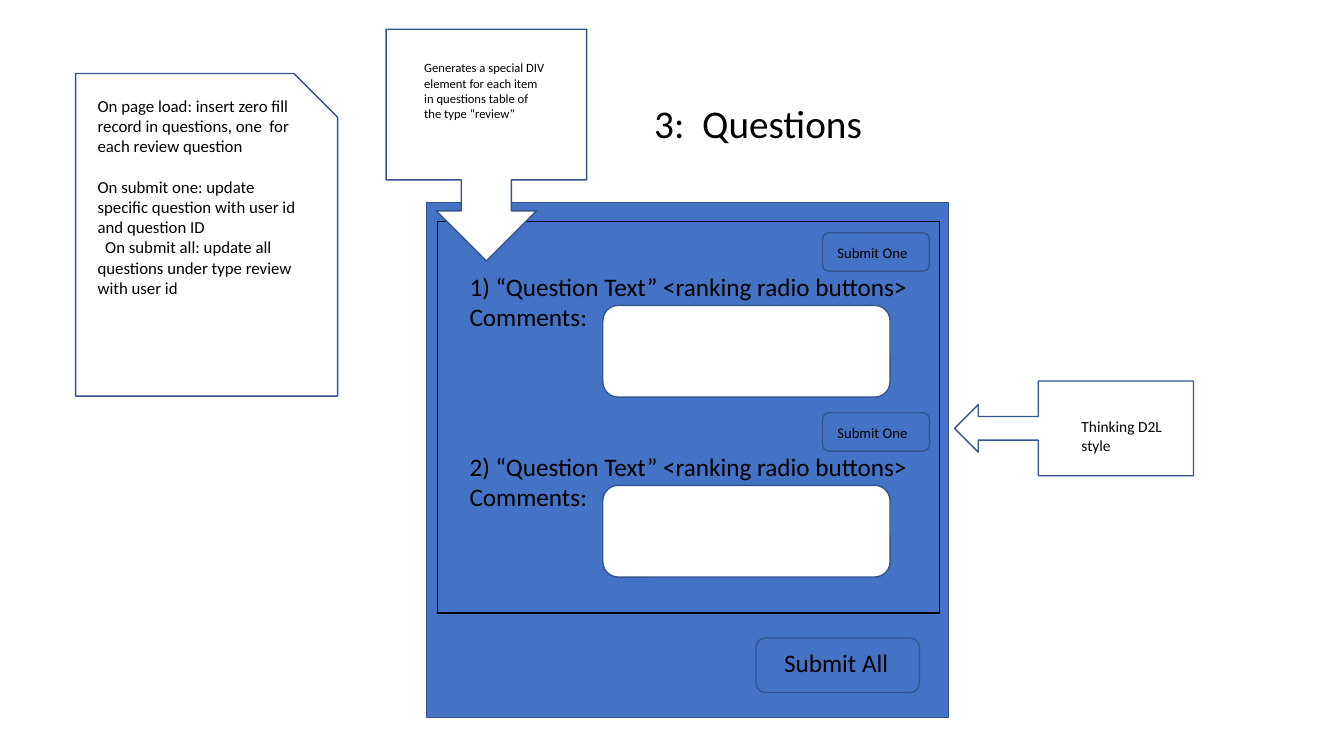
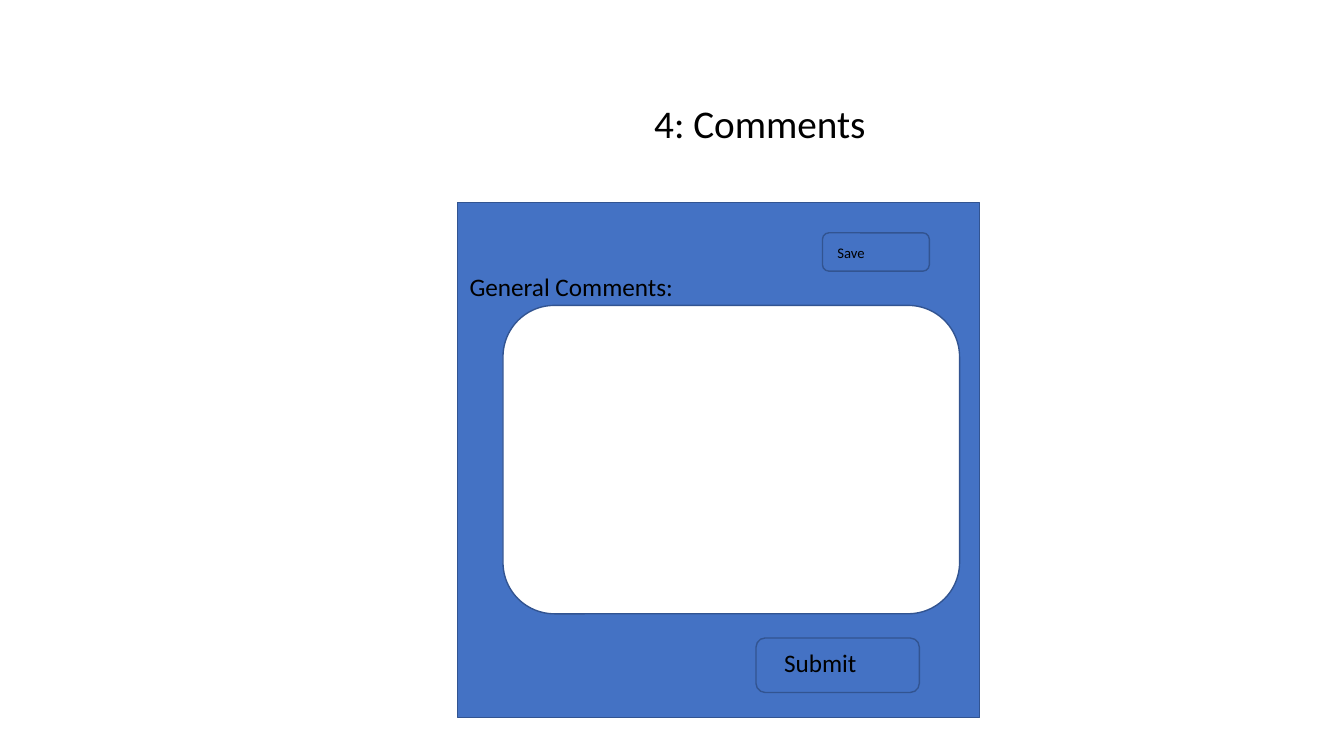
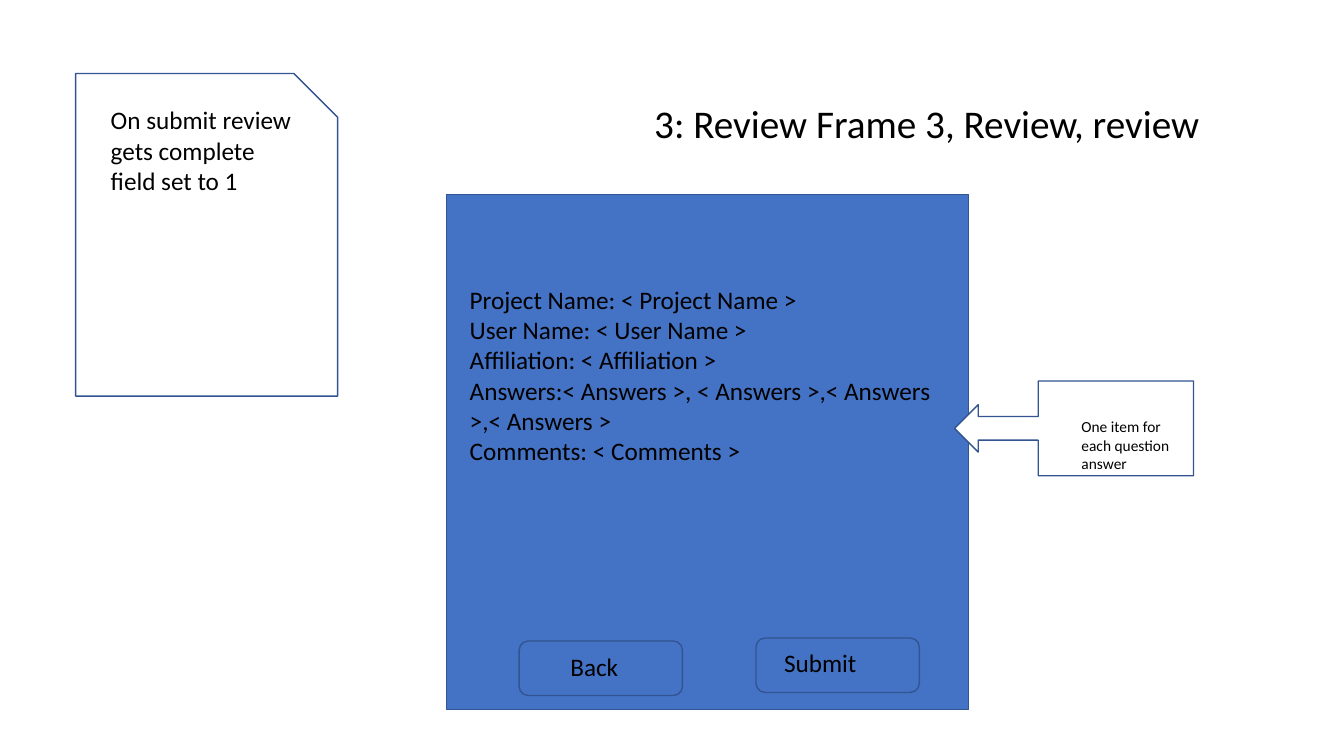
import pptx
import pptx.dml.color
import pptx.enum.shapes
import pptx.enum.text
import pptx.oxml.ns
import pptx.util
from lxml import etree

COLORS = {"panel": "4472C4", "paper": "FFFFFF", "edge": "325491", "ink": "000000"}
FONT = "Calibri"
SIZES = {"title": 28, "body": 18, "note": 12, "aside": 11, "small": 10.5, "tiny": 9}
CELLS_PER_INCH = 10
COLUMNS, ROWS = 133.33, 75
PANEL_SIZE = (51.8, 51.1)
NOTE_CARD = (7.5, 7.3, 26, 32)
SIDE_CALLOUT = (94.7, 37.8, 23.7, 9.4)
SUBMIT_AT = (75, 63.3)
TITLE_AT = (63.9, 9.9, 61.6, 7.2)
QUESTION_STEP = 17.85
BLANK_LINE = 14.65
TWO_SPACES = 5.4

SHAPES = pptx.enum.shapes.MSO_SHAPE
AUTO_SIZE = pptx.enum.text.MSO_AUTO_SIZE
TITLE_ONLY, TITLE_AND_BODY = 5, 1


def cells(count):
    return pptx.util.Inches(count / CELLS_PER_INCH)


def apply_format(target, values):
    for name, value in values.items():
        setattr(target, name, value)


class Wireframe:
    def __init__(self):
        self.deck = pptx.Presentation()
        apply_format(self.deck, {"slide_width": cells(COLUMNS), "slide_height": cells(ROWS)})
        self.page = None

    def color(self, name):
        return pptx.dml.color.RGBColor.from_string(COLORS[name])

    def start(self, layout=TITLE_ONLY):
        self.page = self.deck.slides.add_slide(self.deck.slide_layouts[layout])

    def shape(self, kind, at, fill="paper", edge="edge"):
        box = self.page.shapes.add_shape(kind, *map(cells, at))
        box.shadow.inherit = False
        box.fill.solid()
        box.fill.fore_color.rgb = self.color(fill)
        box.line.color.rgb = self.color(edge)
        box.line.width = pptx.util.Pt(1)
        return box

    def fill_text(self, box, lines, size, spacing=1.0, auto_size=AUTO_SIZE.SHAPE_TO_FIT_TEXT):
        frame = box.text_frame
        frame.text = "\n".join(lines)
        apply_format(frame, {
            "word_wrap": True,
            "auto_size": auto_size,
            "vertical_anchor": pptx.enum.text.MSO_ANCHOR.TOP,
        })
        for para in frame.paragraphs:
            apply_format(para, {
                "alignment": pptx.enum.text.PP_ALIGN.LEFT,
                "line_spacing": spacing,
                "space_before": pptx.util.Pt(0),
            })
            for span in para.runs:
                apply_format(span.font, {"name": FONT, "size": pptx.util.Pt(SIZES[size])})
                span.font.color.rgb = self.color("ink")
        return box

    def text(self, at, lines, size="body"):
        return self.fill_text(self.page.shapes.add_textbox(*map(cells, at)), lines, size)

    def place(self, box, at):
        apply_format(box, dict(zip(("left", "top", "width", "height"), map(cells, at))))
        box.element.getparent().append(box.element)

    def title(self, words):
        box = self.page.shapes.title
        self.place(box, TITLE_AT)
        self.fill_text(box, [words], "title", 0.9, AUTO_SIZE.NONE)

    def body(self, at, lines):
        box = self.page.placeholders[1]
        self.place(box, at)
        self.fill_text(box, lines, "body")
        for para in box.text_frame.paragraphs:
            properties = para._p.get_or_add_pPr()
            properties.set("marL", "0")
            properties.set("indent", "0")
            etree.SubElement(properties, pptx.oxml.ns.qn("a:buNone"))

    def panel(self, left, top):
        self.shape(SHAPES.RECTANGLE, (left, top, *PANEL_SIZE), "panel")

    def field(self, at):
        self.shape(SHAPES.ROUNDED_RECTANGLE, at)

    def button(self, label, at, inset=(1.8, 0.4)):
        left, top = at
        self.shape(SHAPES.ROUNDED_RECTANGLE, (left, top, 16.2, 5.4), "panel")
        self.text((left + inset[0], top + inset[1], 12.6, 4), [label])

    def small_button(self, label, top=23.1):
        self.shape(SHAPES.ROUNDED_RECTANGLE, (81.6, top, 10.6, 3.8), "panel")
        self.text((82.1, top + 0.6, 9.7, 2.8), [label], "small")

    def question(self, number):
        shift = (number - 1) * QUESTION_STEP
        self.text((45.6, 26.4 + shift, 49.6, 10.1),
                  [f"{number}) “Question Text” <ranking radio buttons>", "Comments:"])
        self.field((59.8, 30.3 + shift, 28.5, 9.1))
        self.small_button("Submit One", 23.1 + shift)

    def note(self, at, lines, size):
        self.shape(SHAPES.SNIP_1_RECTANGLE, NOTE_CARD)
        return self.text(at, lines, size)

    def side_callout(self, words, height):
        self.shape(SHAPES.LEFT_ARROW_CALLOUT, SIDE_CALLOUT)
        self.text((106.3, 40.9, 12.8, height), [words], "aside")


def questions_page(frame):
    frame.start()
    frame.panel(42.3, 20.1)
    frame.shape(SHAPES.RECTANGLE, (43.4, 22, 49.8, 38.8), "panel", "ink")
    for number in (1, 2):
        frame.question(number)
    frame.shape(SHAPES.DOWN_ARROW_CALLOUT, (38.3, 2.9, 19.9, 23))
    frame.text((41.1, 5.5, 14, 8.6), [
        "Generates a special DIV element for each item in questions table of the type “review”",
    ], "tiny")
    note = frame.note((8.7, 9, 21.7, 21.2), [
        "On page load: insert zero fill record in questions, one  for each review question",
        "On submit one: update specific question with user id and question ID",
        "On submit all: update all questions under type review with user id",
    ], "note")
    load, submit_one, submit_all = note.text_frame.paragraphs
    submit_one.space_before = pptx.util.Pt(BLANK_LINE)
    submit_all._p.get_or_add_pPr().set("indent", str(int(pptx.util.Pt(TWO_SPACES))))
    frame.title("3:  Questions")
    frame.side_callout("Thinking D2L style", 4.7)
    frame.button("Submit All", SUBMIT_AT)


def comments_page(frame):
    frame.start()
    frame.panel(45.4, 20.1)
    frame.text((45.6, 26.4, 49.6, 4), ["General Comments:"])
    frame.field((49.9, 30.3, 45.3, 30.6))
    frame.title("4: Comments")
    frame.button("Submit", SUBMIT_AT)
    frame.small_button("Save")


def review_page(frame):
    frame.start(TITLE_AND_BODY)
    frame.panel(44.3, 19.3)
    frame.body((45.6, 27.7, 49.6, 22.2), [
        "Project Name: < Project Name >",
        "User Name: < User Name >",
        "Affiliation: < Affiliation >",
        "Answers:< Answers >, < Answers >,< Answers >,< Answers >",
        "Comments: < Comments >",
    ])
    frame.title("3: Review Frame 3, Review, review")
    frame.side_callout("One item for each question answer", 6.6)
    frame.button("Submit", SUBMIT_AT)
    frame.button("Back", (51.5, 63.6), (4.1, 0.5))
    frame.note((10, 9.9, 20.1, 10.1), ["On submit review gets complete field set to 1"], "body")


wireframe = Wireframe()
for build in (questions_page, comments_page, review_page):
    build(wireframe)
wireframe.deck.save("out.pptx")
